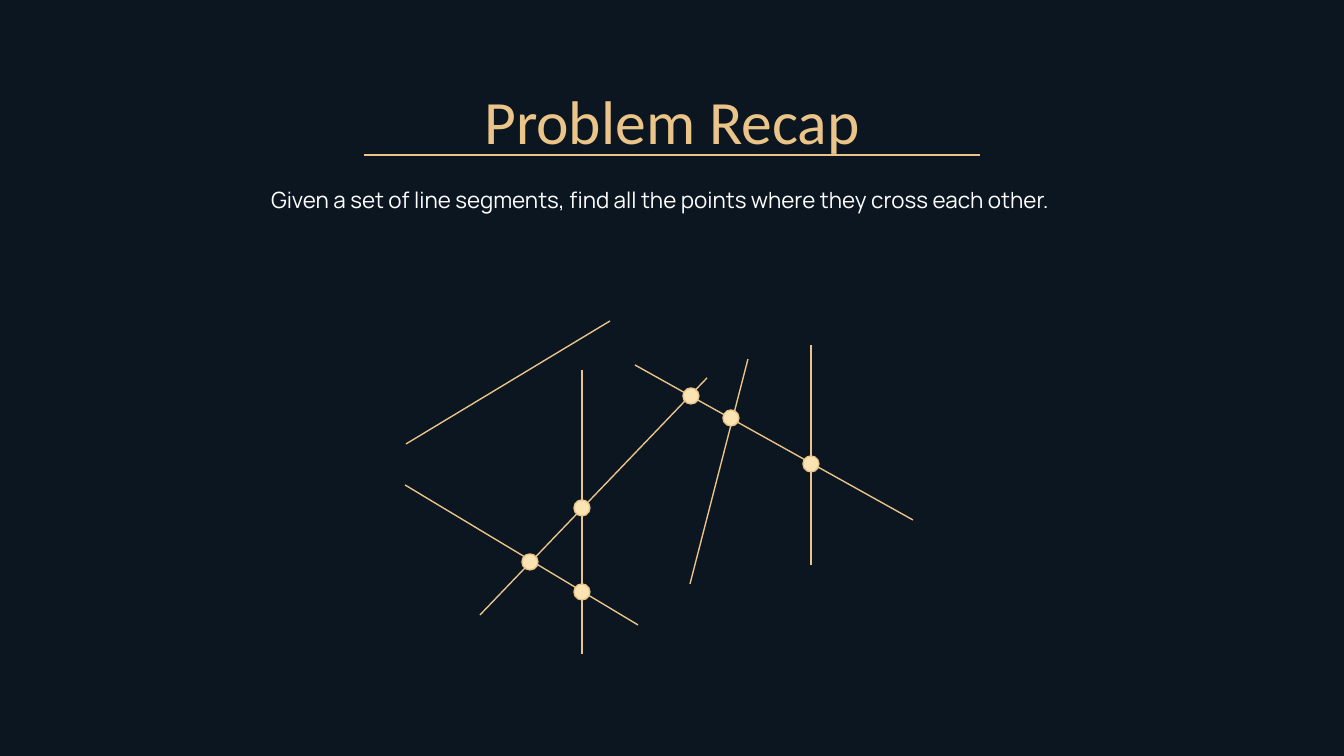
from lxml import etree
from pptx import Presentation
from pptx.dml.color import RGBColor
from pptx.enum.shapes import MSO_CONNECTOR, MSO_SHAPE
from pptx.enum.text import MSO_ANCHOR, MSO_AUTO_SIZE, PP_ALIGN
from pptx.oxml.ns import qn
from pptx.util import Emu, Pt

STRAIGHT = MSO_CONNECTOR.STRAIGHT
OVAL = MSO_SHAPE.OVAL
TOP, MIDDLE = MSO_ANCHOR.TOP, MSO_ANCHOR.MIDDLE
LEFT, CENTER = PP_ALIGN.LEFT, PP_ALIGN.CENTER
GROW, FIXED = MSO_AUTO_SIZE.SHAPE_TO_FIT_TEXT, MSO_AUTO_SIZE.NONE

EMU_PER_PX = 914400 / 134.4
WIDTH, HEIGHT = 1344, 756


def px(n):
    return Emu(round(n * EMU_PER_PX))


def rgb(value):
    return RGBColor.from_string(value)


class Deck:
    background = "0C1621"
    gold = "EAC488"
    cream = "FBE4B4"
    white = "FFFFFF"
    line_width = Pt(0.75)
    inset = px(13)
    dot_size = 16

    def __init__(self, prs):
        self.s = prs.slides.add_slide(prs.slide_layouts[6])
        fill = self.s.background.fill
        fill.solid()
        fill.fore_color.rgb = rgb(self.background)

    def stroke(self, line):
        line.color.rgb = rgb(self.gold)
        line.width = self.line_width

    def segment(self, x1, y1, x2, y2):
        sp = self.s.shapes.add_connector(STRAIGHT, px(x1), px(y1), px(x2), px(y2))
        self.stroke(sp.line)
        etree.SubElement(sp._element.spPr, qn("a:effectLst"))

    def dot(self, cx, cy):
        d = self.dot_size
        sp = self.s.shapes.add_shape(OVAL, px(cx - d / 2), px(cy - d / 2), px(d), px(d))
        sp.shadow.inherit = False
        sp.fill.solid()
        sp.fill.fore_color.rgb = rgb(self.cream)
        self.stroke(sp.line)

    def text(self, x, y, w, h, words, font, size, color, align=LEFT, anchor=TOP, fit=FIXED):
        sp = self.s.shapes.add_textbox(px(x), px(y), px(w), px(h))
        tf = sp.text_frame
        tf.word_wrap = True
        tf.auto_size = fit
        tf.vertical_anchor = anchor
        tf.margin_left = tf.margin_right = tf.margin_top = tf.margin_bottom = self.inset
        p = tf.paragraphs[0]
        p.text = words
        p.alignment = align
        p.font.name = font
        p.font.size = Pt(size)
        p.font.color.rgb = rgb(color)


def main():
    prs = Presentation()
    prs.slide_width, prs.slide_height = px(WIDTH), px(HEIGHT)
    deck = Deck(prs)

    # Heading with its rule, and the problem statement
    deck.segment(364, 155, 980, 155)
    deck.text(105, 85, 1134, 70, "Problem Recap", "Calibri", 33, deck.gold,
              align=CENTER, anchor=MIDDLE)
    deck.text(258, 173, 827, 109,
              "Given a set of line segments, find all the points where they cross each other.",
              "Manrope", 12, deck.white, fit=GROW)

    # Line segments
    segments = [
        (582, 654, 582, 370),
        (480, 615, 707, 378),
        (690, 584, 748, 359),
        (405, 485, 638, 625),
        (406, 444, 610, 321),
        (811, 345, 811, 565),
        (635, 365, 913, 520),
    ]
    for ends in segments:
        deck.segment(*ends)

    # Crossing points
    crossings = [(582, 508), (530, 562), (582, 592), (691, 396), (811, 464), (731, 418)]
    for center in crossings:
        deck.dot(*center)

    prs.save("out.pptx")


if __name__ == "__main__":
    main()
